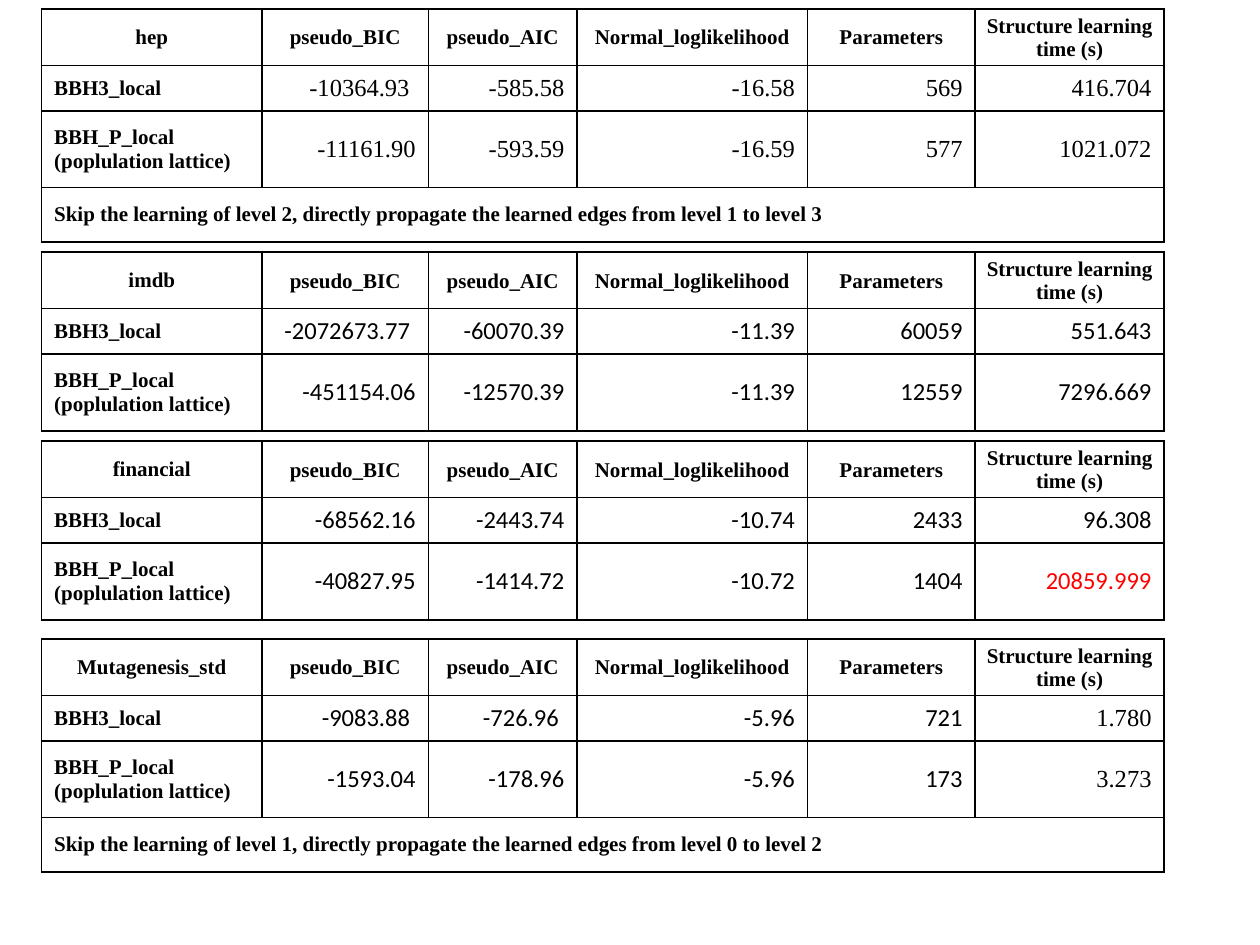
import dataclasses

import lxml.etree
import pptx
import pptx.dml.color
import pptx.enum.text
import pptx.oxml.ns
import pptx.table
import pptx.util

Inches = pptx.util.Inches
Align = pptx.enum.text.PP_ALIGN

SERIF, SANS = "Times New Roman", "Calibri"
BLACK, WHITE, RED = "000000", "FFFFFF", "FF0000"
LEFT = 0.33
COLUMN_WIDTHS = (1.75, 1.32, 1.18, 1.83, 1.33, 1.5)
ROW_HEIGHTS = (0.45, 0.36, 0.61, 0.43)
MEASURES = ("pseudo_BIC", "pseudo_AIC", "Normal_loglikelihood", "Parameters",
            "Structure learning time (s)")
METHODS = ("BBH3_local", "BBH_P_local\n(poplulation lattice)")


@dataclasses.dataclass
class ResultTable:
    dataset: str
    top: float
    results: tuple[tuple[str, ...], tuple[str, ...]]
    note: str = ""
    value_font: str = SANS
    time_font: str = SANS


RESULT_TABLES = (
    ResultTable(
        "hep", 0.07,
        (("-10364.93 ", "-585.58", "-16.58", "569", "416.704"),
         ("-11161.90", "-593.59", "-16.59", "577", "1021.072")),
        note="Skip the learning of level 2, directly propagate the learned "
             "edges from level 1 to level 3",
        value_font=SERIF, time_font=SERIF),
    ResultTable(
        "imdb", 2,
        (("-2072673.77 ", "-60070.39", "-11.39", "60059", "551.643"),
         ("-451154.06", "-12570.39", "-11.39", "12559", "7296.669"))),
    ResultTable(
        "financial", 3.5,
        (("-68562.16", "-2443.74", "-10.74", "2433", "96.308"),
         ("-40827.95", "-1414.72", "-10.72", "1404", "20859.999"))),
    ResultTable(
        "Mutagenesis_std", 5.07,
        (("-9083.88 ", "-726.96 ", "-5.96", "721", "1.780"),
         ("-1593.04", "-178.96", "-5.96", "173", "3.273")),
        note="Skip the learning of level 1, directly propagate the learned "
             "edges from level 0 to level 2",
        time_font=SERIF),
)
HIGHLIGHTED_VALUE = "20859.999"


def color(value: str) -> pptx.dml.color.RGBColor:
    return pptx.dml.color.RGBColor.from_string(value)


def style_cell(cell: pptx.table._Cell) -> None:
    """Give a cell thin black borders and a white fill."""
    properties = cell._tc.get_or_add_tcPr()
    for side in ("a:lnL", "a:lnR", "a:lnT", "a:lnB"):
        line = lxml.etree.SubElement(properties, pptx.oxml.ns.qn(side),
                                     w=str(pptx.util.Pt(1)))
        fill = lxml.etree.SubElement(line, pptx.oxml.ns.qn("a:solidFill"))
        lxml.etree.SubElement(fill, pptx.oxml.ns.qn("a:srgbClr"), val=BLACK)
    cell.fill.solid()
    cell.fill.fore_color.rgb = color(WHITE)
    cell.vertical_anchor = pptx.enum.text.MSO_ANCHOR.MIDDLE


def write(cell: pptx.table._Cell, text: str, *, size: float = 12,
          font: str = SERIF, bold: bool = True, ink: str = BLACK,
          align: Align = Align.LEFT,
          margins: tuple[float, ...] = (0.1, 0.05, 0.1, 0.05)) -> None:
    (cell.margin_left, cell.margin_top,
     cell.margin_right, cell.margin_bottom) = map(Inches, margins)
    cell.text_frame.text = text
    for para in cell.text_frame.paragraphs:
        para.alignment = align
        for span in para.runs:
            span.font.size = pptx.util.Pt(size)
            span.font.name = font
            span.font.bold = bold
            span.font.color.rgb = color(ink)


def draw_table(page, result: ResultTable) -> None:
    heights = ROW_HEIGHTS if result.note else ROW_HEIGHTS[:-1]
    frame = page.shapes.add_table(
        len(heights), len(COLUMN_WIDTHS), Inches(LEFT), Inches(result.top),
        Inches(sum(COLUMN_WIDTHS)), Inches(sum(heights)))
    table = frame.table
    for column, width in zip(table.columns, COLUMN_WIDTHS):
        column.width = Inches(width)
    for row, height in zip(table.rows, heights):
        row.height = Inches(height)
    for cell in table.iter_cells():
        style_cell(cell)

    # Header row
    write(table.cell(0, 0), result.dataset, align=Align.CENTER,
          margins=(0, 0, 0, 0))
    for column, measure in enumerate(MEASURES, start=1):
        write(table.cell(0, column), measure, align=Align.CENTER,
              margins=(0.01, 0.01, 0.01, 0))

    # One row for each method
    for row, (method, values) in enumerate(zip(METHODS, result.results), start=1):
        write(table.cell(row, 0), method)
        for column, value in enumerate(values, start=1):
            is_time = column == len(MEASURES)
            write(table.cell(row, column), value, size=14, bold=False,
                  font=result.time_font if is_time else result.value_font,
                  ink=RED if value == HIGHLIGHTED_VALUE else BLACK,
                  align=Align.RIGHT)

    # Note across the full width
    if result.note:
        last = len(heights) - 1
        table.cell(last, 0).merge(table.cell(last, len(COLUMN_WIDTHS) - 1))
        write(table.cell(last, 0), result.note)


def main() -> None:
    deck = pptx.Presentation()
    deck.slide_width, deck.slide_height = Inches(10), Inches(7.5)
    page = deck.slides.add_slide(deck.slide_layouts.get_by_name("Blank"))
    for result in RESULT_TABLES:
        draw_table(page, result)
    deck.save("out.pptx")


if __name__ == "__main__":
    main()
